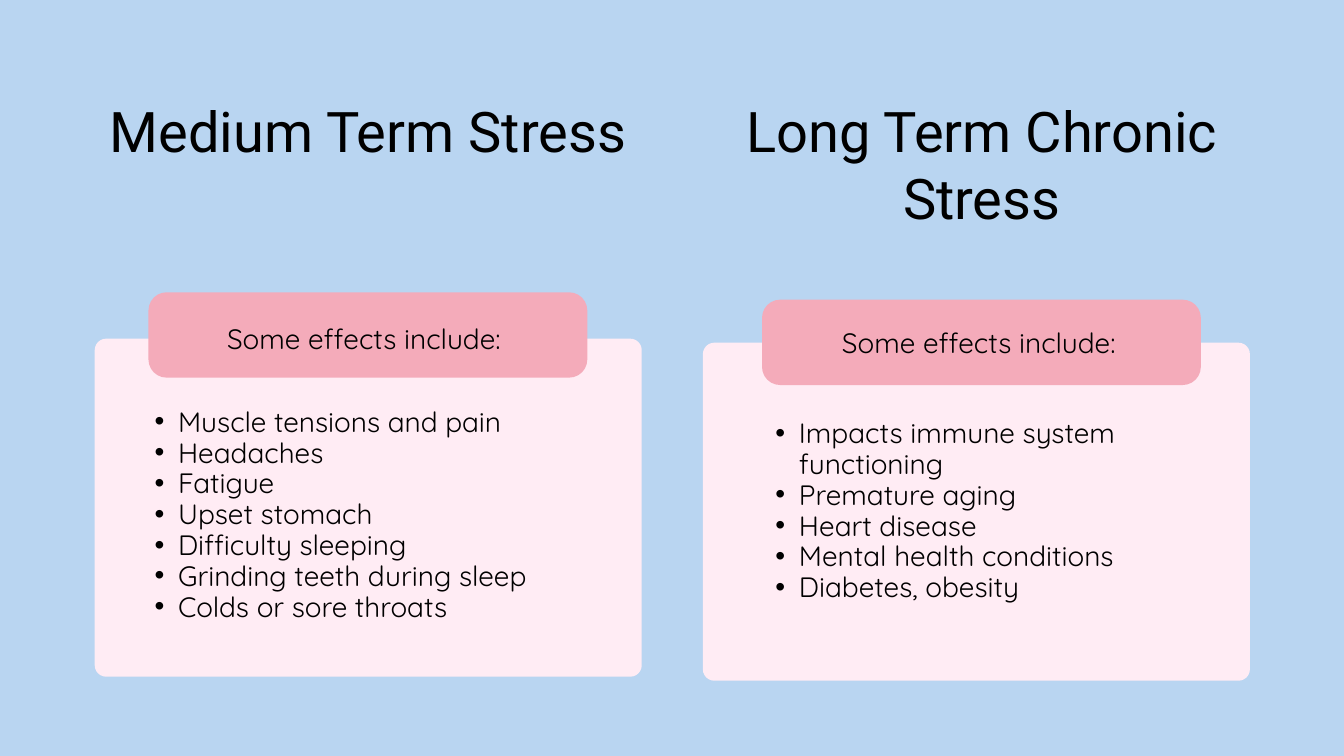
from lxml.etree import SubElement
from pptx import Presentation
from pptx.dml.color import RGBColor
from pptx.enum.shapes import MSO_SHAPE
from pptx.enum.text import MSO_ANCHOR, PP_ALIGN
from pptx.oxml.ns import qn
from pptx.util import Inches, Pt


def color(hex_string):
    return RGBColor.from_string(hex_string)


def write_paragraph(paragraph, text, font="Quicksand", size=30, spacing=36,
                    align=PP_ALIGN.CENTER, bullet=False):
    paragraph.alignment = align
    paragraph.line_spacing = Pt(spacing)
    if bullet:
        paragraph.level = 1
        properties = paragraph._p.get_or_add_pPr()
        properties.set("marL", str(Inches(0.71)))
        properties.set("indent", str(Inches(-0.35)))
        SubElement(properties, qn("a:buFont"), typeface="Arial")
        SubElement(properties, qn("a:buChar"), char="•")
    run = paragraph.add_run()
    run.text = text
    run.font.name = font
    run.font.size = Pt(size)
    run.font.color.rgb = color("000000")


class StressSlide:
    background = "B9D5F1"
    card_fill = "FFECF4"
    label_fill = "F4ABBA"

    def __init__(self, presentation):
        self.slide = presentation.slides.add_slide(presentation.slide_layouts[6])
        fill = self.slide.background.fill
        fill.solid()
        fill.fore_color.rgb = color(self.background)

    def panel(self, left, top, width, height, fill, radius):
        shape = self.slide.shapes.add_shape(
            MSO_SHAPE.ROUNDED_RECTANGLE,
            Inches(left), Inches(top), Inches(width), Inches(height))
        shape.adjustments[0] = radius / height
        shape.shadow.inherit = False
        shape.fill.solid()
        shape.fill.fore_color.rgb = color(fill)
        shape.line.fill.background()

    def text(self, left, top, width, height, lines, margin=0,
             anchor=MSO_ANCHOR.TOP, **text_format):
        box = self.slide.shapes.add_textbox(
            Inches(left), Inches(top), Inches(width), Inches(height))
        frame = box.text_frame
        frame.word_wrap = True
        frame.vertical_anchor = anchor
        frame.margin_left = frame.margin_right = Inches(margin)
        frame.margin_top = frame.margin_bottom = Inches(margin)
        for index, line in enumerate(lines):
            paragraph = frame.add_paragraph() if index else frame.paragraphs[0]
            write_paragraph(paragraph, line, **text_format)

    def card(self, left, top):
        self.panel(left, top, 8.14, 5.03, self.card_fill, 0.17)

    def title(self, left, width, title):
        self.text(left, 1.43, width, 2.12, [title],
                  font="Roboto", size=60, spacing=72)

    def label(self, left, top, text_width, text_height):
        self.panel(left, top, 6.53, 1.27, self.label_fill, 0.27)
        self.text(left, top, text_width, text_height, ["Some effects include:"],
                  margin=0.06, anchor=MSO_ANCHOR.MIDDLE)

    def effects(self, left, top, items):
        self.text(left, top, 6.68, 3.23, items, spacing=33,
                  align=PP_ALIGN.LEFT, bullet=True)


def main():
    presentation = Presentation()
    presentation.slide_width = Inches(20)
    presentation.slide_height = Inches(11.25)
    slide = StressSlide(presentation)

    # Medium term column
    slide.card(1.41, 5.04)
    slide.label(2.21, 4.35, 6.41, 1.38)
    slide.title(1.43, 8.09, "Medium Term Stress")
    slide.effects(1.94, 6.06, [
        "Muscle tensions and pain",
        "Headaches",
        "Fatigue",
        "Upset stomach",
        "Difficulty sleeping",
        "Grinding teeth during sleep",
        "Colds or sore throats",
    ])

    # Long term column
    slide.card(10.46, 5.1)
    slide.title(10.54, 8.14, "Long Term Chronic Stress")
    slide.effects(11.18, 6.23, [
        "Impacts immune system functioning",
        "Premature aging",
        "Heart disease",
        "Mental health conditions",
        "Diabetes, obesity",
    ])
    slide.label(11.34, 4.46, 6.45, 1.27)

    presentation.save("out.pptx")


if __name__ == "__main__":
    main()
